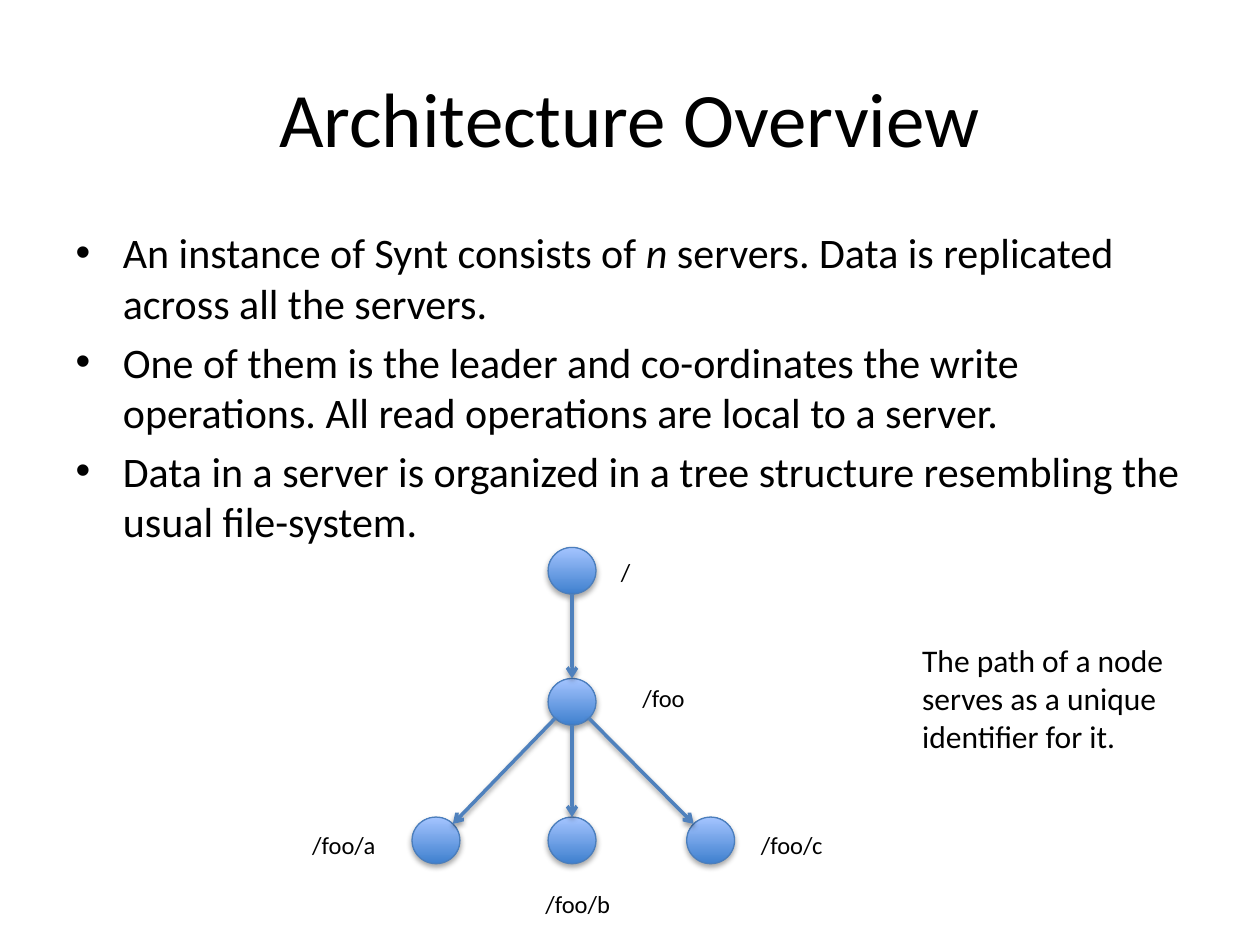
from math import cos, pi, sin

from pptx import Presentation
from pptx.dml.color import RGBColor
from pptx.enum.shapes import MSO_CONNECTOR, MSO_SHAPE
from pptx.enum.text import MSO_ANCHOR, MSO_AUTO_SIZE, PP_ALIGN
from pptx.oxml import parse_xml
from pptx.oxml.ns import nsdecls
from pptx.util import Inches, Pt

FONT = "Calibri"
BLACK = RGBColor(0x00, 0x00, 0x00)
NODE_DARK = RGBColor(0x3F, 0x80, 0xCE)
NODE_LIGHT = RGBColor(0xA4, 0xC4, 0xFF)
NODE_LINE = RGBColor(0x4B, 0x7E, 0xBC)
ARROW_BLUE = RGBColor(0x4F, 0x81, 0xBD)

TITLE = "Architecture Overview"
# Each bullet is a list of (text, italic) runs.
BULLETS = [
    [("An instance of Synt consists of ", False), ("n", True),
     (" servers. Data is replicated across all the servers.", False)],
    [("One of them is the leader and co-ordinates the write operations. "
      "All read operations are local to a server.", False)],
    [("Data in a server is organized in a tree structure resembling the "
      "usual file-system.", False)],
]
NOTE = "The path of a node serves as a unique identifier for it."

NODE_WIDTH, NODE_HEIGHT = 0.38, 0.37
# Node path: (centre x, centre y), label (left, top, width)
NODES = {
    "/": ((4.54, 4.53), (4.83, 4.37, 0.37)),
    "/foo": ((4.54, 5.57), (5.0, 5.37, 1.34)),
    "/foo/a": ((3.46, 6.67), (2.38, 6.54, 0.73)),
    "/foo/b": ((4.54, 6.67), (4.23, 7.01, 0.77)),
    "/foo/c": ((5.64, 6.67), (5.94, 6.54, 0.81)),
}
# Parent, child, direction in which the arrow leaves the parent (degrees)
EDGES = [
    ("/", "/foo", 90),
    ("/foo", "/foo/a", 135),
    ("/foo", "/foo/b", 90),
    ("/foo", "/foo/c", 45),
]


def style_font(font, size):
    """Apply the common typeface and colour at the given size."""
    font.name = FONT
    font.size = Pt(size)
    font.color.rgb = BLACK


def place(shape, left, top, width, height):
    """Move and size a shape, in inches."""
    shape.left, shape.top = Inches(left), Inches(top)
    shape.width, shape.height = Inches(width), Inches(height)


def add_shadow(shape, distance, opacity):
    """Give a shape a soft shadow falling straight down."""
    shape._element.spPr.append(parse_xml(
        f'<a:effectLst {nsdecls("a")}><a:outerShdw blurRad="{Pt(3.15)}" '
        f'dist="{Pt(distance)}" dir="5400000" rotWithShape="0">'
        f'<a:srgbClr val="{BLACK}"><a:alpha val="{opacity * 1000}"/>'
        '</a:srgbClr></a:outerShdw></a:effectLst>'))


def add_node(slide, centre):
    """Draw one tree node around its centre."""
    x, y = centre
    node = slide.shapes.add_shape(
        MSO_SHAPE.OVAL, Inches(x - NODE_WIDTH / 2), Inches(y - NODE_HEIGHT / 2),
        Inches(NODE_WIDTH), Inches(NODE_HEIGHT))
    node.fill.gradient()
    node.fill.gradient_angle = 90
    for stop, position, color in zip(node.fill.gradient_stops, (0, 1),
                                     (NODE_DARK, NODE_LIGHT)):
        stop.position = position
        stop.color.rgb = color
    node.line.color.rgb = NODE_LINE
    node.line.width = Pt(0.75)
    add_shadow(node, 1.8, 35)


def rim_point(path_name, degrees):
    """Return the point on a node's outline in a direction."""
    x, y = NODES[path_name][0]
    angle = degrees * pi / 180
    return (Inches(x + NODE_WIDTH / 2 * cos(angle)),
            Inches(y + NODE_HEIGHT / 2 * sin(angle)))


def add_edge(slide, parent, child, degrees):
    """Draw an arrow from a parent node to its child."""
    arrow = slide.shapes.add_connector(
        MSO_CONNECTOR.STRAIGHT, *rim_point(parent, degrees),
        *rim_point(child, degrees + 180))
    arrow.line.color.rgb = ARROW_BLUE
    arrow.line.width = Pt(2)
    arrow.line._get_or_add_ln().append(
        parse_xml(f'<a:tailEnd {nsdecls("a")} type="arrow"/>'))
    add_shadow(arrow, 1.6, 38)


def add_text(slide, text, left, top, width, height, size):
    """Add a wrapping text box that fits its text."""
    box = slide.shapes.add_textbox(
        Inches(left), Inches(top), Inches(width), Inches(height))
    frame = box.text_frame
    frame.word_wrap = True
    frame.auto_size = MSO_AUTO_SIZE.SHAPE_TO_FIT_TEXT
    frame.text = text
    style_font(frame.paragraphs[0].font, size)


def fill_bullets(body):
    """Write the bullet list into the body placeholder."""
    frame = body.text_frame
    for index, runs in enumerate(BULLETS):
        paragraph = frame.add_paragraph() if index else frame.paragraphs[0]
        style_font(paragraph.font, 24)
        for text, italic in runs:
            run = paragraph.add_run()
            run.text = text
            if italic:
                run.font.italic = True


presentation = Presentation()
presentation.slide_width, presentation.slide_height = Inches(10), Inches(7.5)
slide = presentation.slides.add_slide(
    presentation.slide_layouts.get_by_name("Title and Content"))

title, body = slide.placeholders
place(title, 0.5, 0.3, 9, 1.25)
title.text_frame.text = TITLE
title.text_frame.vertical_anchor = MSO_ANCHOR.MIDDLE
title.text_frame.paragraphs[0].alignment = PP_ALIGN.CENTER
style_font(title.text_frame.paragraphs[0].font, 44)
place(body, 0.5, 1.75, 9, 4.95)
fill_bullets(body)

for centre, _ in NODES.values():
    add_node(slide, centre)
for edge in EDGES:
    add_edge(slide, *edge)
for path_name, (_, label_place) in NODES.items():
    add_text(slide, path_name, *label_place, 0.34, 14)
add_text(slide, NOTE, 7.22, 5.04, 2.41, 1.01, 18)

presentation.save("out.pptx")
